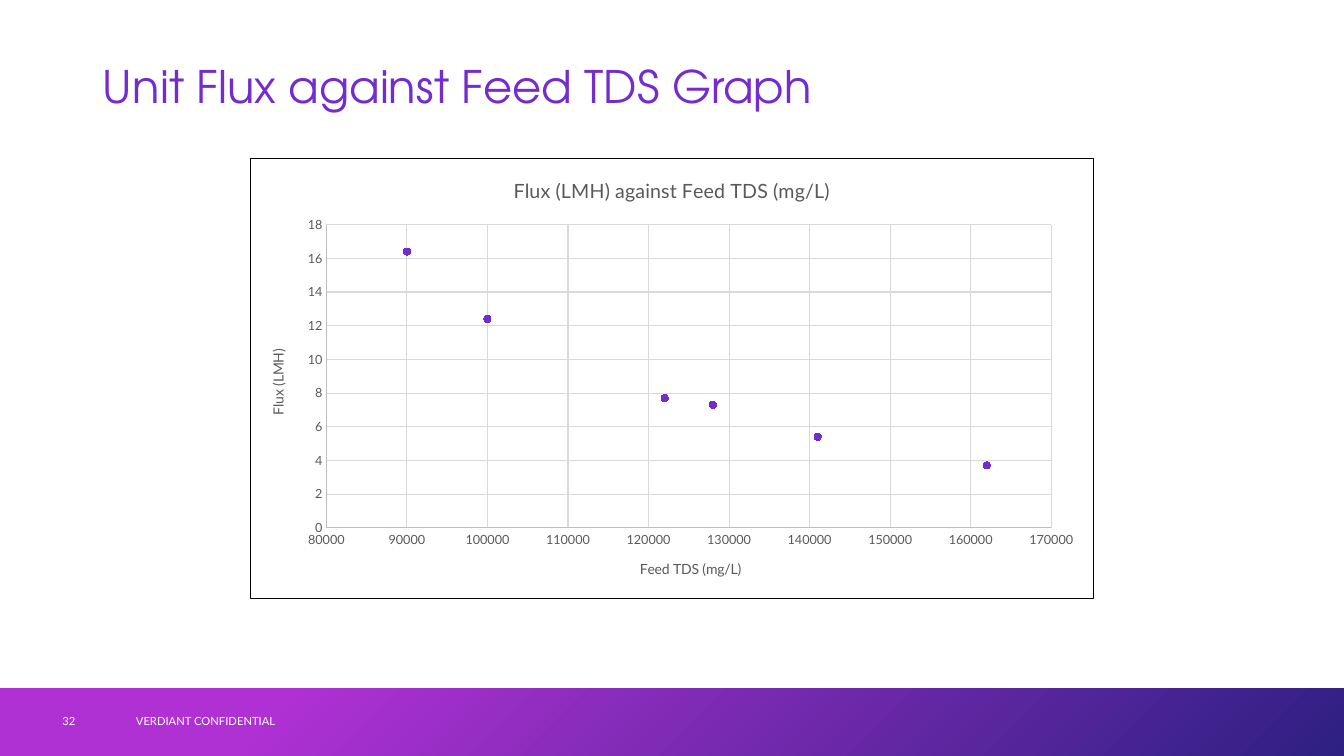
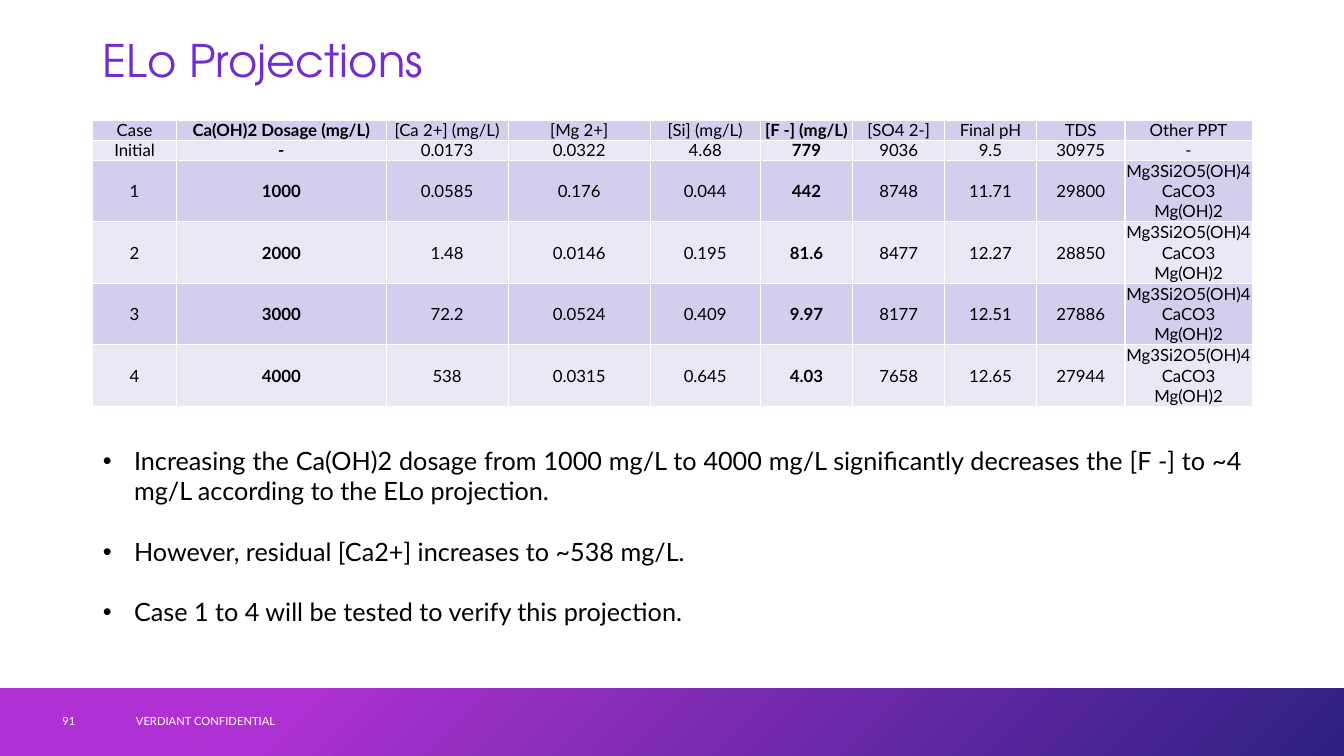
from lxml import etree
from pptx import Presentation
from pptx.chart.data import XyChartData
from pptx.dml.color import RGBColor
from pptx.enum.chart import XL_CHART_TYPE, XL_MARKER_STYLE, XL_TICK_MARK
from pptx.enum.shapes import MSO_SHAPE
from pptx.enum.text import MSO_ANCHOR, MSO_AUTO_SIZE, PP_ALIGN
from pptx.oxml import parse_xml
from pptx.oxml.ns import nsdecls, qn
from pptx.util import Inches, Pt

SCATTER, CIRCLE, NO_TICK = XL_CHART_TYPE.XY_SCATTER, XL_MARKER_STYLE.CIRCLE, XL_TICK_MARK.NONE
RECTANGLE = MSO_SHAPE.RECTANGLE
MIDDLE, TOP, NO_FIT = MSO_ANCHOR.MIDDLE, MSO_ANCHOR.TOP, MSO_AUTO_SIZE.NONE
LEFT, CENTER, JUSTIFY = PP_ALIGN.LEFT, PP_ALIGN.CENTER, PP_ALIGN.JUSTIFY

PURPLE = RGBColor(0x72, 0x2C, 0xCF)
BAND_START = RGBColor(0xAF, 0x31, 0xD3)
BAND_END = RGBColor(0x2D, 0x20, 0x82)
ROW_DARK = RGBColor(0xD5, 0xCD, 0xED)
ROW_LIGHT = RGBColor(0xEB, 0xE8, 0xF6)
BLACK = RGBColor(0, 0, 0)
WHITE = RGBColor(0xFF, 0xFF, 0xFF)
CHART_TEXT = RGBColor(0x59, 0x59, 0x59)
AXIS_LINE = RGBColor(0xBF, 0xBF, 0xBF)
GRID_LINE = RGBColor(0xD9, 0xD9, 0xD9)

TITLE_FONT, BODY_FONT = "TeX Gyre Adventor", "Lato"
MARGIN, CONTENT_WIDTH = 0.92, 11.5
TITLE_AND_BODY, TITLE_ONLY = 1, 5


def set_font(font, size, color, name=BODY_FONT, bold=False):
    font.size, font.name, font.bold = Pt(size), name, bold
    font.color.rgb = color


def set_line(line, color, width=0.75):
    line.color.rgb = color
    line.width = Pt(width)


def place(shape, left, top, width, height):
    shape.left, shape.top = Inches(left), Inches(top)
    shape.width, shape.height = Inches(width), Inches(height)


class Deck:
    """Holds the shared style and the current slide."""

    def __init__(self):
        self.prs = Presentation()
        self.prs.slide_width, self.prs.slide_height = Inches(13.33), Inches(7.5)
        self.slide = None

    def add_slide(self, title, title_top, number, layout):
        self.slide = self.prs.slides.add_slide(self.prs.slide_layouts[layout])
        self.band()
        self.title(title, title_top)
        self.footer("VERDIANT CONFIDENTIAL", 1.25, 4.5)
        self.footer(number, 0.52, 0.72)

    def band(self):
        band = self.slide.shapes.add_shape(
            RECTANGLE, 0, Inches(6.83), self.prs.slide_width, Inches(0.67))
        band.shadow.inherit = False
        band.line.fill.background()
        band.fill.gradient()
        band.fill.gradient_angle = 315
        stops = ((0.21, BAND_START), (1, BAND_END))
        for stop, (position, color) in zip(band.fill.gradient_stops, stops):
            stop.position = position
            stop.color.rgb = color

    def title(self, text, top):
        title = self.slide.shapes.title
        place(title, MARGIN, top, CONTENT_WIDTH, 0.67)
        frame = title.text_frame
        frame.text = text
        frame.auto_size, frame.vertical_anchor = NO_FIT, MIDDLE
        paragraph = frame.paragraphs[0]
        paragraph.alignment, paragraph.line_spacing = LEFT, 0.9
        set_font(paragraph.runs[0].font, 32, PURPLE, TITLE_FONT)

    def footer(self, text, left, width):
        footer = self.slide.shapes.add_textbox(
            Inches(left), Inches(6.95), Inches(width), Inches(0.4))
        frame = footer.text_frame
        frame.text = text
        frame.word_wrap, frame.vertical_anchor = True, MIDDLE
        set_font(frame.paragraphs[0].runs[0].font, 8, WHITE)

    def bullets(self, items, top, height):
        body = self.slide.placeholders[1]
        place(body, MARGIN, top, CONTENT_WIDTH, height)
        frame = body.text_frame
        frame.text = "\n".join(items)
        frame.auto_size, frame.vertical_anchor = NO_FIT, TOP
        for index, paragraph in enumerate(frame.paragraphs):
            properties = paragraph._p.get_or_add_pPr()
            properties.set("marL", str(Inches(0.31)))
            properties.set("indent", str(-Inches(0.31)))
            etree.SubElement(properties, qn("a:buFont")).set("typeface", "Arial")
            etree.SubElement(properties, qn("a:buChar")).set("char", "•")
            paragraph.alignment = JUSTIFY
            paragraph.space_before = Pt(21.6 if index else 0)
            set_font(paragraph.runs[0].font, 18, BLACK)

    def table(self, rows, top, widths, heights, bold_columns):
        table = self.slide.shapes.add_table(
            len(rows), len(widths), Inches(MARGIN), Inches(top),
            Inches(sum(widths)), Inches(sum(heights))).table
        table.first_row = table.horz_banding = False
        for column, width in zip(table.columns, widths):
            column.width = Inches(width)
        for row, height in zip(table.rows, heights):
            row.height = Inches(height)
        for r, values in enumerate(rows):
            for c, value in enumerate(values):
                self.cell(table.cell(r, c), value, ROW_LIGHT if r % 2 else ROW_DARK,
                          c in bold_columns)

    def cell(self, cell, text, fill, bold):
        cell.margin_left = cell.margin_right = cell.margin_top = cell.margin_bottom = 0
        cell.vertical_anchor = MIDDLE
        properties = cell._tc.get_or_add_tcPr()
        for side in ("lnL", "lnR", "lnT", "lnB"):
            properties.append(parse_xml(
                f'<a:{side} {nsdecls("a")} w="{Pt(1)}"><a:solidFill>'
                f'<a:srgbClr val="{WHITE}"/></a:solidFill></a:{side}>'))
        cell.fill.solid()
        cell.fill.fore_color.rgb = fill
        paragraph = cell.text_frame.paragraphs[0]
        paragraph.text = text
        paragraph.alignment = CENTER
        for run in paragraph.runs:
            set_font(run.font, 12, BLACK, bold=bold)

    def scatter(self, title, points, x_title, y_title, x_range, y_range, box):
        data = XyChartData()
        series = data.add_series(title)
        for x, y in points:
            series.add_data_point(x, y)
        chart = self.slide.shapes.add_chart(SCATTER, *map(Inches, box), data).chart
        set_font(chart.font, 10, BLACK)
        chart.has_legend = False
        self.chart_title(chart, title, 14)
        self.axis(chart.category_axis, x_title, *x_range)
        self.axis(chart.value_axis, y_title, *y_range)

        # Points without a joining line
        plot = chart.plots[0]
        plot.vary_by_categories = False
        dots = plot.series[0]
        dots.format.line.fill.background()
        dots.marker.style, dots.marker.size = CIRCLE, 5
        dots.marker.format.fill.solid()
        dots.marker.format.fill.fore_color.rgb = PURPLE
        set_line(dots.marker.format.line, PURPLE)

        # Plot area position and chart border
        plot_area = chart.element.find(qn("c:chart")).find(qn("c:plotArea"))
        for old_layout in plot_area.findall(qn("c:layout")):
            plot_area.remove(old_layout)
        layout = etree.Element(qn("c:layout"))
        manual = etree.SubElement(layout, qn("c:manualLayout"))
        for tag, value in (("layoutTarget", "inner"), ("xMode", "edge"), ("yMode", "edge"),
                           ("x", "0.09"), ("y", "0.15"), ("w", "0.86"), ("h", "0.69")):
            etree.SubElement(manual, qn(f"c:{tag}")).set("val", value)
        plot_area.insert(0, layout)
        chart.element.find(qn("c:chart")).addnext(parse_xml(
            f'<c:spPr {nsdecls("c", "a")}><a:noFill/><a:ln w="{Pt(0.75)}"><a:solidFill>'
            f'<a:srgbClr val="{BLACK}"/></a:solidFill></a:ln></c:spPr>'))

    def chart_title(self, owner, text, size):
        """Title a chart or one of its axes."""
        owner.has_title = True
        title = owner.chart_title if hasattr(owner, "chart_title") else owner.axis_title
        title.text_frame.text = text
        set_font(title.text_frame.paragraphs[0].runs[0].font, size, CHART_TEXT)

    def axis(self, axis, title, minimum, maximum, step):
        self.chart_title(axis, title, 10)
        axis.minimum_scale, axis.maximum_scale, axis.major_unit = minimum, maximum, step
        axis.major_tick_mark = axis.minor_tick_mark = NO_TICK
        axis.has_major_gridlines = True
        set_line(axis.major_gridlines.format.line, GRID_LINE)
        set_line(axis.format.line, AXIS_LINE)
        set_font(axis.tick_labels.font, 9, CHART_TEXT)


def main():
    deck = Deck()

    # Flux against feed TDS
    deck.add_slide("Unit Flux against Feed TDS Graph", 0.55, "32", TITLE_ONLY)
    flux_by_tds = [(90000, 16.4), (100000, 12.4), (122000, 7.7),
                   (128000, 7.3), (141000, 5.4), (162000, 3.7)]
    deck.scatter("Flux (LMH) against Feed TDS (mg/L)", flux_by_tds,
                 "Feed TDS (mg/L)", "Flux (LMH)",
                 (80000, 170000, 10000), (0, 18, 2), (2.48, 1.57, 8.37, 4.37))

    # Dosage projections
    deck.add_slide("ELo Projections", 0.29, "91", TITLE_AND_BODY)
    precipitates = "Mg3Si2O5(OH)4\vCaCO3\vMg(OH)2"
    cases = [
        ("Case", "Ca(OH)2 Dosage (mg/L)", "[Ca 2+] (mg/L)", "[Mg 2+]", "[Si] (mg/L)",
         "[F -] (mg/L)", "[SO4 2-]", "Final pH", "TDS", "Other PPT"),
        ("Initial", "-", "0.0173", "0.0322", "4.68", "779", "9036", "9.5", "30975", "-"),
        ("1", "1000", "0.0585", "0.176", "0.044", "442", "8748", "11.71", "29800", precipitates),
        ("2", "2000", "1.48", "0.0146", "0.195", "81.6", "8477", "12.27", "28850", precipitates),
        ("3", "3000", "72.2", "0.0524", "0.409", "9.97", "8177", "12.51", "27886", precipitates),
        ("4", "4000", "538", "0.0315", "0.645", "4.03", "7658", "12.65", "27944", precipitates),
    ]
    deck.table(cases, 1.19,
               widths=[0.83, 2.08, 1.21, 1.41, 1.09, 0.92, 0.91, 0.91, 0.88, 1.26],
               heights=[0.2] * 2 + [0.61] * 4, bold_columns=(1, 5))
    deck.bullets([
        "Increasing the Ca(OH)2 dosage from 1000 mg/L to 4000 mg/L significantly decreases "
        "the [F -] to ~4 mg/L according to the ELo projection.",
        "However, residual [Ca2+] increases to ~538 mg/L.",
        "Case 1 to 4 will be tested to verify this projection.",
    ], 4.37, 2.4)

    deck.prs.save("out.pptx")


if __name__ == "__main__":
    main()
